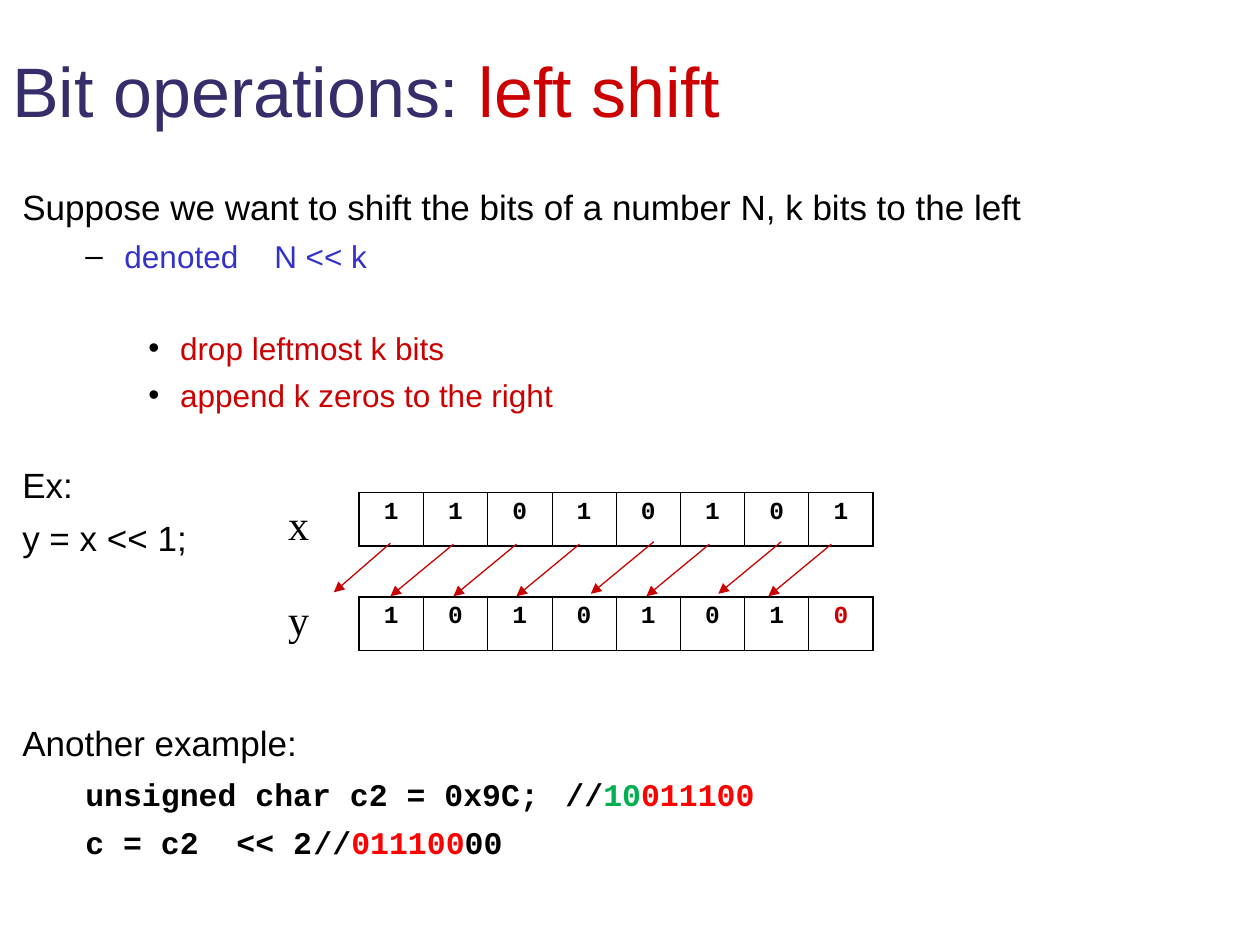
"""Build a slide that explains the left shift bit operation."""
from dataclasses import dataclass

from lxml import etree
from pptx import Presentation
from pptx.dml.color import RGBColor
from pptx.enum.shapes import MSO_CONNECTOR
from pptx.enum.text import MSO_ANCHOR, PP_ALIGN
from pptx.oxml.ns import qn
from pptx.util import Cm, Pt

STRAIGHT = MSO_CONNECTOR.STRAIGHT
MIDDLE = MSO_ANCHOR.MIDDLE
LEFT, CENTER = PP_ALIGN.LEFT, PP_ALIGN.CENTER


@dataclass(frozen=True)
class Theme:
    ink: str = "000000"
    paper: str = "FFFFFF"
    title: str = "362D6B"
    accent: str = "CC0000"
    formula: str = "3333CC"
    dropped: str = "00B050"
    kept: str = "FF0000"
    sans: str = "Arial"
    mono: str = "Courier New"
    serif: str = "Times New Roman"
    title_size: float = 40
    label_size: float = 24
    body_size: float = 20
    sub_size: float = 18
    bit_size: float = 14
    outer_line: float = 1.08
    inner_line: float = 0.45
    arrow_line: float = 0.74


T = Theme()


@dataclass(frozen=True)
class Style:
    size: float
    font: str = T.sans
    bold: bool = False
    align: int = LEFT
    margin: float = 0
    indent: float = 0
    bullet: str = ""


@dataclass(frozen=True)
class Para:
    style: Style
    spans: tuple[tuple[str, str], ...]
    before: float = 0
    tab: float = 0


@dataclass(frozen=True)
class Register:
    name: str
    bits: str
    top: float
    label_top: float
    red_bits: int = 0


@dataclass(frozen=True)
class Arrow:
    x: float
    y: float = 10.97
    dx: float = -1.27
    dy: float = 1.05


TITLE = Style(T.title_size)
BODY = Style(T.body_size, margin=0.95, indent=-0.95)
DASH = Style(T.sub_size, margin=2.06, indent=-0.79, bullet="–")
DOT = Style(T.sub_size, margin=3.18, indent=-0.64, bullet="•")
CODE = Style(T.sub_size, T.mono, True, margin=2.06, indent=-0.79)
LABEL = Style(T.label_size, T.serif, align=CENTER)
BIT = Style(T.bit_size, T.mono, True, CENTER)

HEADING = [Para(TITLE, (("Bit operations: ", T.title), ("left shift", T.accent)))]
CONTENT = [
    Para(BODY, (("Suppose we want to shift the bits of a number N, k bits to the left", T.ink),), 5),
    Para(DASH, (("denoted\tN << k", T.formula),), 5.5, 3.38),
    Para(DOT, (("drop leftmost k bits", T.accent),), 31),
    Para(DOT, (("append k zeros to the right", T.accent),), 5.3),
    Para(BODY, (("Ex:", T.ink),), 28.5),
    Para(BODY, (("y = x << 1;", T.ink),), 6),
    Para(BODY, (("Another example:", T.ink),), 93),
    Para(CODE, (("unsigned char c2 = 0x9C;\t//", T.ink), ("10", T.dropped), ("011100", T.kept)), 7, 10.16),
    Para(CODE, (("c = c2  << 2\t//", T.ink), ("011100", T.kept), ("00", T.ink)), 5.9, 10.16),
]
REGISTERS = [
    Register("x", "11010101", 9.93, 9.93),
    Register("y", "10101010", 12.04, 11.84, red_bits=1),
]
ARROWS = [
    Arrow(7.87, 10.95, -1.14, 0.99), Arrow(9.14), Arrow(10.41), Arrow(11.68),
    Arrow(13.18, 10.92), Arrow(14.3), Arrow(15.75, 10.92), Arrow(16.76),
]
TABLE_LEFT, TABLE_WIDTH, ROW_HEIGHT = 7.24, 10.36, 1.07


def rgb(color: str) -> RGBColor:
    return RGBColor.from_string(color)


def write_para(p, para: Para) -> None:
    style = para.style
    p.alignment = style.align
    p.space_before = Pt(para.before)
    for text, color in para.spans:
        r = p.add_run()
        r.text = text
        r.font.size = Pt(style.size)
        r.font.name = style.font
        r.font.bold = style.bold
        r.font.color.rgb = rgb(color)
    ppr = p._p.get_or_add_pPr()
    ppr.set("marL", str(Cm(style.margin)))
    ppr.set("indent", str(Cm(style.indent)))
    if style.bullet:
        bullet_color = etree.SubElement(ppr, qn("a:buClr"))
        etree.SubElement(bullet_color, qn("a:srgbClr"), val=T.ink)
        etree.SubElement(ppr, qn("a:buFont"), typeface=T.sans)
        etree.SubElement(ppr, qn("a:buChar"), char=style.bullet)
    if para.tab:
        tabs = etree.SubElement(ppr, qn("a:tabLst"))
        etree.SubElement(tabs, qn("a:tab"), pos=str(Cm(para.tab)), algn="l")


def add_text(slide, x: float, y: float, w: float, h: float, paras: list[Para], wrap: bool = True):
    tf = slide.shapes.add_textbox(Cm(x), Cm(y), Cm(w), Cm(h)).text_frame
    tf.word_wrap = wrap
    for i, para in enumerate(paras):
        write_para(tf.add_paragraph() if i else tf.paragraphs[0], para)
    return tf


def set_border(cell, side: str, width: float) -> None:
    ln = etree.SubElement(cell._tc.get_or_add_tcPr(), qn(f"a:ln{side}"), w=str(Pt(width)))
    fill = etree.SubElement(ln, qn("a:solidFill"))
    etree.SubElement(fill, qn("a:srgbClr"), val=T.ink)


def add_register(slide, reg: Register) -> None:
    count = len(reg.bits)
    frame = slide.shapes.add_table(1, count, Cm(TABLE_LEFT), Cm(reg.top), Cm(TABLE_WIDTH), Cm(ROW_HEIGHT))
    table = frame.table
    table.first_row = table.horz_banding = False
    for i, bit in enumerate(reg.bits):
        table.columns[i].width = Cm(TABLE_WIDTH / count)
        cell = table.cell(0, i)
        color = T.accent if i >= count - reg.red_bits else T.ink
        write_para(cell.text_frame.paragraphs[0], Para(BIT, ((bit, color),), 3.5))
        set_border(cell, "L", T.inner_line if i else T.outer_line)
        set_border(cell, "R", T.inner_line if i < count - 1 else T.outer_line)
        set_border(cell, "T", T.outer_line)
        set_border(cell, "B", T.outer_line)
        cell.fill.solid()
        cell.fill.fore_color.rgb = rgb(T.paper)
    add_text(slide, 5.56, reg.label_top, 0.91, 1.27, [Para(LABEL, ((reg.name, T.ink),))], wrap=False)


def add_arrow(slide, arrow: Arrow) -> None:
    sp = slide.shapes.add_connector(
        STRAIGHT, Cm(arrow.x), Cm(arrow.y), Cm(arrow.x + arrow.dx), Cm(arrow.y + arrow.dy))
    sp.line.color.rgb = rgb(T.accent)
    sp.line.width = Pt(T.arrow_line)
    props = sp._element.spPr
    etree.SubElement(props.find(qn("a:ln")), qn("a:tailEnd"), type="triangle")
    etree.SubElement(props, qn("a:effectLst"))


def main() -> None:
    prs = Presentation()
    prs.slide_width, prs.slide_height = Cm(25.4), Cm(19.05)
    slide = prs.slides.add_slide(prs.slide_layouts[6])
    add_text(slide, 0, 0.43, 25.4, 2.74, HEADING).vertical_anchor = MIDDLE
    add_text(slide, 0.2, 3.61, 24.56, 13.77, CONTENT)
    for reg in REGISTERS:
        add_register(slide, reg)
    for arrow in ARROWS:
        add_arrow(slide, arrow)
    prs.save("out.pptx")


main()
